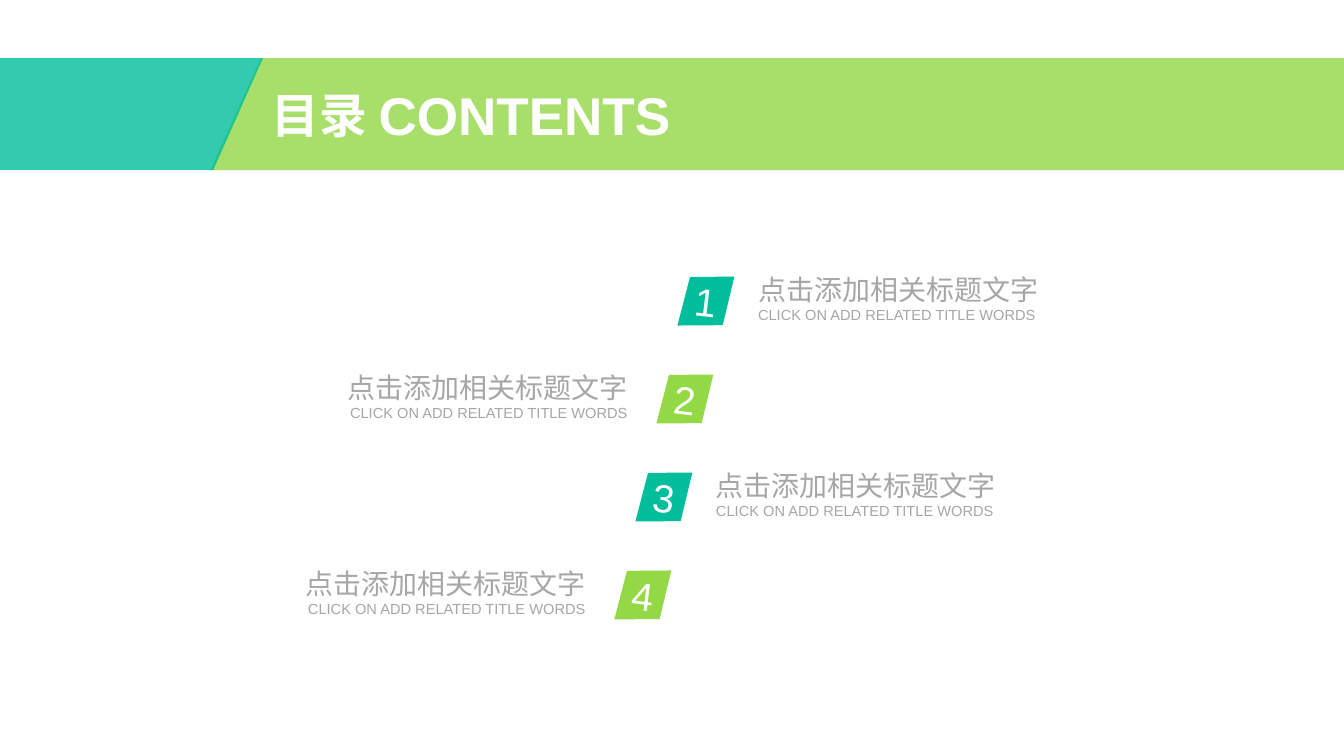
from dataclasses import dataclass

from lxml.etree import SubElement
from pptx import Presentation
from pptx.dml.color import RGBColor as Rgb
from pptx.enum.shapes import MSO_SHAPE as Kind
from pptx.enum.text import MSO_ANCHOR as Anchor, MSO_AUTO_SIZE as Fit, PP_ALIGN as Align
from pptx.oxml.ns import qn
from pptx.shapes.base import BaseShape as Shape
from pptx.slide import Slide
from pptx.util import Inches, Pt


@dataclass(frozen=True)
class Theme:
    teal: str = "00BE9B"
    green: str = "93D845"
    gray: str = "A6A6A6"
    white: str = "FFFFFF"
    font: str = "Arial"
    title: float = 36
    latin: float = 40
    digit: float = 29.5
    head: float = 21.1
    sub: float = 11


@dataclass(frozen=True)
class Line:
    text: str
    size: float
    color: str
    bold: bool = False


@dataclass(frozen=True)
class Box:
    left: float
    top: float
    width: float
    height: float

    def lengths(self) -> tuple[Inches, ...]:
        return tuple(map(Inches, (self.left, self.top, self.width, self.height)))


@dataclass(frozen=True)
class Band:
    box: Box
    slant: float
    color: str


THEME = Theme()
BACK = Band(Box(2.2, 0.61, 12.55, 1.17), 0.452, THEME.green)
FRONT = Band(Box(-1, 0.61, 3.75, 1.17), 0.444, THEME.teal)
OPACITY = 80000

ROWS = 4
DROP, SHIFT = 1.025, -0.22
TILE = ((0.53, 0), (0.47, 0.52), (0, 0.58), (0.07, 0.06))
TILT = 6.9
LABEL = (
    Line("点击添加相关标题文字", THEME.head, THEME.gray),
    Line("CLICK ON ADD RELATED TITLE WORDS", THEME.sub, THEME.gray),
)


def paint(shape: Shape, color: str) -> None:
    shape.fill.solid()
    shape.fill.fore_color.rgb = Rgb.from_string(color)
    shape.line.fill.background()
    shape.shadow.inherit = False


def write(shape: Shape, lines: tuple[Line, ...], align: Align, inset: bool = False) -> None:
    frame = shape.text_frame
    frame.vertical_anchor = Anchor.MIDDLE
    if not inset:
        frame.margin_left = frame.margin_top = frame.margin_right = frame.margin_bottom = 0
    for i, line in enumerate(lines):
        para = frame.add_paragraph() if i else frame.paragraphs[0]
        para.text = line.text
        para.alignment = align
        font = para.font
        font.name, font.size, font.bold = THEME.font, Pt(line.size), line.bold
        font.color.rgb = Rgb.from_string(line.color)


def add_text(slide: Slide, box: Box, lines: tuple[Line, ...], align: Align,
             inset: bool = False, wrap: bool = True) -> None:
    shape = slide.shapes.add_textbox(*box.lengths())
    shape.text_frame.word_wrap = wrap
    shape.text_frame.auto_size = Fit.SHAPE_TO_FIT_TEXT
    write(shape, lines, align, inset)


def add_band(slide: Slide, band: Band) -> None:
    shape = slide.shapes.add_shape(Kind.PARALLELOGRAM, *band.box.lengths())
    shape.adjustments[0] = band.slant
    paint(shape, band.color)
    color = shape.element.spPr.find(f"{qn('a:solidFill')}/{qn('a:srgbClr')}")
    SubElement(color, qn("a:alpha"), val=str(OPACITY))


def add_tile(slide: Slide, row: int) -> None:
    left, top = 7.12 + SHIFT * row, 2.86 + DROP * row
    points = [(Inches(left + x), Inches(top + y)) for x, y in TILE]
    pen = slide.shapes.build_freeform(*points[0])
    pen.add_line_segments(points[1:], close=True)
    shape = pen.convert_to_shape()
    shape.rotation = TILT
    paint(shape, THEME.green if row % 2 else THEME.teal)
    write(shape, (Line(str(row + 1), THEME.digit, THEME.white),), Align.CENTER)


def add_label(slide: Slide, row: int) -> None:
    """Even rows sit right of their tile, odd rows left of it."""
    top = 2.85 + DROP * row
    if row % 2:
        box, align = Box(3.66 + SHIFT * row, top, 3.13, 0.54), Align.RIGHT
    else:
        box, align = Box(7.93 + SHIFT * row, top, 3.22, 0.54), Align.LEFT
    add_text(slide, box, LABEL, align)


def main() -> None:
    deck = Presentation()
    deck.slide_width, deck.slide_height = Inches(14.06), Inches(7.91)
    slide = deck.slides.add_slide(deck.slide_layouts[6])

    add_band(slide, BACK)
    for row in range(ROWS):
        add_label(slide, row)
        add_tile(slide, row)
    add_text(slide, Box(2.72, 0.84, 1.24, 0.71),
             (Line("目录", THEME.title, THEME.white, True),), Align.CENTER, inset=True)
    add_text(slide, Box(3.96, 0.86, 3.08, 0.67),
             (Line("CONTENTS", THEME.latin, THEME.white, True),), Align.LEFT, wrap=False)
    add_band(slide, FRONT)
    deck.save("out.pptx")


if __name__ == "__main__":
    main()
